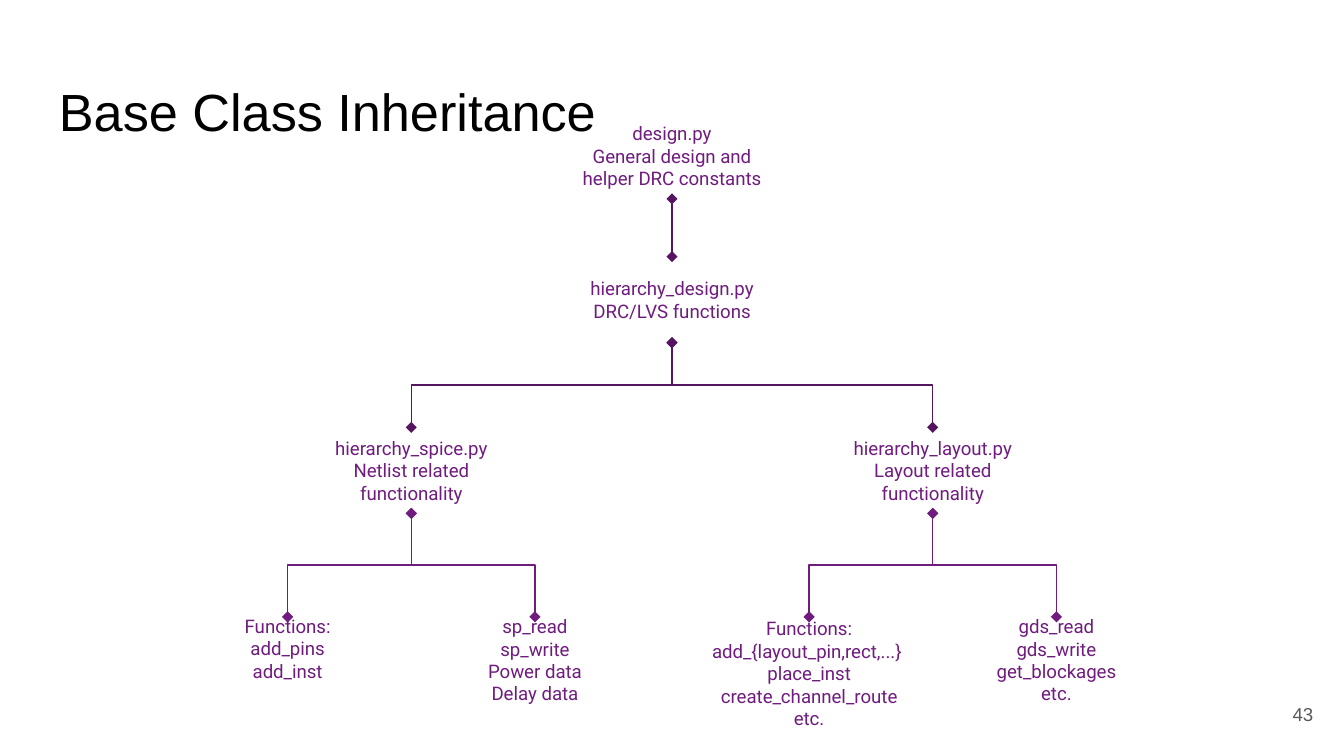
from dataclasses import dataclass

from lxml import etree
from pptx import Presentation
from pptx.dml.color import RGBColor
from pptx.enum.shapes import MSO_CONNECTOR
from pptx.enum.text import MSO_ANCHOR, PP_ALIGN
from pptx.oxml.ns import qn
from pptx.util import Inches, Pt

STRAIGHT, ELBOW = MSO_CONNECTOR.STRAIGHT, MSO_CONNECTOR.ELBOW
TOP, MIDDLE = MSO_ANCHOR.TOP, MSO_ANCHOR.MIDDLE
LEFT, CENTER, RIGHT = PP_ALIGN.LEFT, PP_ALIGN.CENTER, PP_ALIGN.RIGHT

COLORS = {
    "title": "000000",
    "number": "595959",
    "class": "701C7F",
    "trunk": "551561",
    "branch": "701C7F",
}
SLIDE_W = 10
SLIDE_H = SLIDE_W * 9 / 16
NODE_W, NODE_H = 1.68, 0.64
MID, WING, TWIG = SLIDE_W / 2, 1.94, 0.92
LEAF_TOP = 4.59


@dataclass
class Node:
    text: str
    x: float
    top: float
    height: float = NODE_H
    bottom_inset: float = 0.1

    @property
    def bottom(self) -> float:
        return self.top + self.height


@dataclass
class Branch:
    parent: str
    child: str
    color: str


NODES = {
    "design": Node("design.py\nGeneral design and helper DRC constants", MID, 0.84),
    "hierarchy": Node("hierarchy_design.py\vDRC/LVS functions", MID, 1.91),
    "spice": Node("hierarchy_spice.py\vNetlist related functionality", MID - WING, 3.18),
    "layout": Node("hierarchy_layout.py\vLayout related functionality", MID + WING, 3.18),
    "pins": Node("Functions:\vadd_pins\vadd_inst", MID - WING - TWIG, LEAF_TOP,
                 bottom_inset=0.27),
    "netlist": Node("sp_read\vsp_write\vPower data\nDelay data", MID - WING + TWIG, LEAF_TOP),
    "routing": Node(
        "Functions:\nadd_{layout_pin,rect,...} \vplace_inst\vcreate_channel_route\vetc.",
        MID + WING - TWIG, LEAF_TOP, 0.84),
    "gds": Node("gds_read\ngds_write\nget_blockages\vetc.", MID + WING + TWIG, LEAF_TOP),
}
BRANCHES = [
    Branch("hierarchy", "layout", "trunk"),
    Branch("spice", "netlist", "branch"),
    Branch("spice", "pins", "branch"),
    Branch("layout", "gds", "branch"),
    Branch("layout", "routing", "branch"),
    Branch("hierarchy", "spice", "trunk"),
]


def add_text(s, text: str, left: float, top: float, width: float, height: float,
             size: float, font: str, color: str, align=LEFT, anchor=MIDDLE,
             bottom_inset: float = 0.1):
    sp = s.shapes.add_textbox(Inches(left), Inches(top), Inches(width), Inches(height))
    tf = sp.text_frame
    tf.word_wrap = True
    tf.vertical_anchor = anchor
    tf.margin_left = tf.margin_right = tf.margin_top = Inches(0.1)
    tf.margin_bottom = Inches(bottom_inset)
    tf.text = text
    for p in tf.paragraphs:
        p.alignment = align
        for r in p.runs:
            r.font.size = Pt(size)
            r.font.name = font
            r.font.color.rgb = RGBColor.from_string(COLORS[color])
    return sp


def add_node(s, node: Node):
    return add_text(s, node.text, node.x - NODE_W / 2, node.top, NODE_W, node.height,
                    10, "Roboto", "class", CENTER, bottom_inset=node.bottom_inset)


def style_line(line, color: str) -> None:
    line.line.color.rgb = RGBColor.from_string(COLORS[color])
    line.line.width = Pt(0.75)
    ln = line.line._get_or_add_ln()
    for end in ("a:headEnd", "a:tailEnd"):
        etree.SubElement(ln, qn(end), type="diamond")
    etree.SubElement(line._element.spPr, qn("a:effectLst"))


def add_branch(s, branch: Branch) -> None:
    parent, child = NODES[branch.parent], NODES[branch.child]
    drop = child.top - parent.bottom
    run = abs(child.x - parent.x)
    cx = (parent.x + child.x) / 2
    cy = (parent.bottom + child.top) / 2
    direction = 1 if child.x < parent.x else -1
    line = s.shapes.add_connector(
        ELBOW,
        Inches(cx - direction * drop / 2), Inches(cy - run / 2),
        Inches(cx + direction * drop / 2), Inches(cy + run / 2))
    line._element.spPr.find(qn("a:xfrm")).set("rot", str(270 * 60000))
    style_line(line, branch.color)


def main() -> None:
    prs = Presentation()
    prs.slide_width, prs.slide_height = Inches(SLIDE_W), Inches(SLIDE_H)
    s = prs.slides.add_slide(prs.slide_layouts[6])

    add_text(s, "Base Class Inheritance", 0.34, 0.49, 9.32, 0.63,
             28, "Arial", "title", anchor=TOP)
    add_text(s, "43", 9.27, 5.1, 0.6, 0.43, 10, "Arial", "number", RIGHT)

    for branch in BRANCHES:
        add_branch(s, branch)
    boxes = {name: add_node(s, node) for name, node in NODES.items()}

    design, hierarchy = NODES["design"], NODES["hierarchy"]
    stem = s.shapes.add_connector(STRAIGHT, Inches(MID), Inches(hierarchy.top),
                                  Inches(MID), Inches(design.bottom))
    stem.begin_connect(boxes["hierarchy"], 0)
    stem.end_connect(boxes["design"], 2)
    style_line(stem, "trunk")

    prs.save("out.pptx")


if __name__ == "__main__":
    main()
